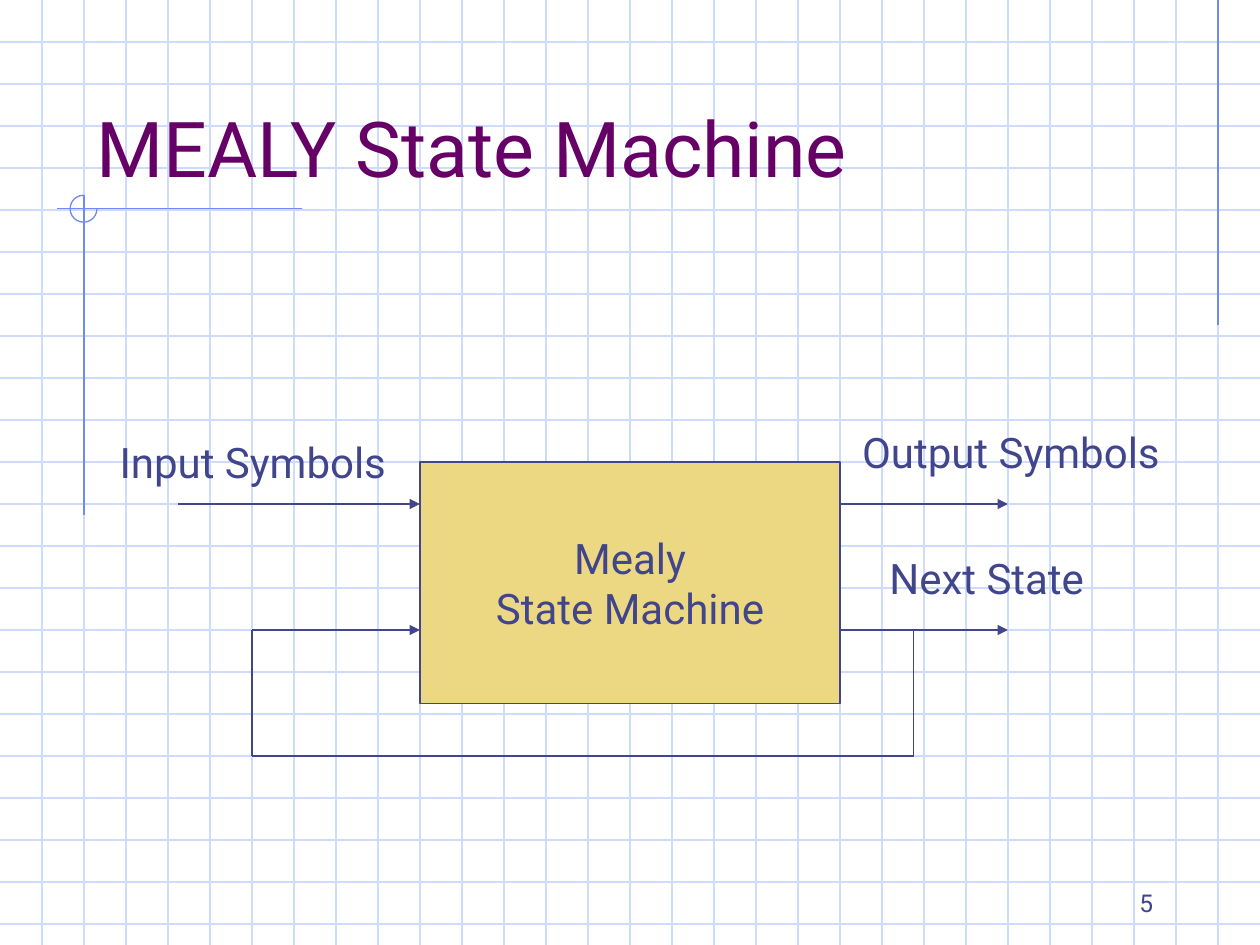
from dataclasses import dataclass

from lxml.etree import SubElement
from pptx import Presentation
from pptx.dml.color import RGBColor
from pptx.enum.shapes import MSO_CONNECTOR, MSO_SHAPE
from pptx.enum.text import MSO_ANCHOR, PP_ALIGN
from pptx.oxml.ns import qn
from pptx.util import Inches, Pt


@dataclass(frozen=True)
class Theme:
    font: str = "Roboto"
    grid: str = "CFDBFD"
    accent: str = "6F89F7"
    ink: str = "40458C"
    title: str = "660066"
    box: str = "ECD882"
    title_size: int = 44
    label_size: int = 24
    number_size: int = 14
    stroke: float = 0.75


THEME = Theme()

# All places are in cells of the squared-paper grid, three to the inch
COLUMNS, ROWS = 30, 22.5
CELL = Inches(1) / 3

TITLE = ("MEALY State Machine", (2, 1, 25.5, 3.75))
PAGE_NUMBER = ("5", (21.5, 20.5, 6.25, 1.5))
MACHINE = ("Mealy\nState Machine", (10, 11, 10, 5.75))
LABELS = [
    ("Input Symbols", (2.55, 10.25, 7.35, 1.5)),
    ("Output Symbols", (20.23, 10, 8.15, 1.5)),
    ("Next State", (20.88, 13, 5.46, 1.5)),
]
ARROWS = [
    (4.25, 12, 10, 12),   # input symbols
    (6, 15, 10, 15),      # state fed back
    (20, 12, 24, 12),     # output symbols
    (21.75, 15, 24, 15),  # next state
]
FEEDBACK = [(20, 15), (21.75, 15), (21.75, 18), (6, 18), (6, 15)]
MARGIN_LINES = [(29, 0, 29, 7.75), (7.2, 4.97, 1.35, 4.97), (2, 4.65, 2, 12.27)]
MARGIN_ARC = (1.67, 4.65, 0.64, 0.64)


def cells(*values):
    return [round(value * CELL) for value in values]


def rgb(name):
    return RGBColor.from_string(name)


def add_line(page, ends, color, arrow=False):
    line = page.shapes.add_connector(MSO_CONNECTOR.STRAIGHT, *cells(*ends))
    line.line.color.rgb = rgb(color)
    line.line.width = Pt(THEME.stroke)
    if arrow:
        SubElement(line.line._get_or_add_ln(), qn("a:tailEnd"), type="triangle")
    SubElement(line._element.spPr, qn("a:effectLst"))


def write(shape, text, size, color=THEME.ink, align=PP_ALIGN.LEFT,
          anchor=MSO_ANCHOR.TOP, wrap=False):
    frame = shape.text_frame
    frame.text = text
    frame.word_wrap = wrap
    frame.vertical_anchor = anchor
    for para in frame.paragraphs:
        para.alignment = align
        para.font.name = THEME.font
        para.font.size = Pt(size)
        para.font.color.rgb = rgb(color)


def add_text(page, content, size, **style):
    text, place = content
    write(page.shapes.add_textbox(*cells(*place)), text, size, **style)


def add_shape(page, kind, place, color):
    shape = page.shapes.add_shape(kind, *cells(*place))
    shape.shadow.inherit = False
    shape.line.color.rgb = rgb(color)
    shape.line.width = Pt(THEME.stroke)
    return shape


def draw_paper(page):
    for row in range(1, int(ROWS) + 1):
        add_line(page, (0, row, COLUMNS, row), THEME.grid)
    for column in range(1, COLUMNS):
        add_line(page, (column, 0, column, ROWS), THEME.grid)
    for ends in MARGIN_LINES:
        add_line(page, ends, THEME.accent)
    # Three-quarter turn, clockwise from the right to the top
    arc = add_shape(page, MSO_SHAPE.ARC, MARGIN_ARC, THEME.accent)
    arc.adjustments[0], arc.adjustments[1] = 0, 162
    arc.fill.background()


def draw_machine(page):
    text, place = MACHINE
    box = add_shape(page, MSO_SHAPE.RECTANGLE, place, THEME.ink)
    box.fill.solid()
    box.fill.fore_color.rgb = rgb(THEME.box)
    write(box, text, THEME.label_size, align=PP_ALIGN.CENTER,
          anchor=MSO_ANCHOR.MIDDLE)
    for ends in ARROWS:
        add_line(page, ends, THEME.ink, arrow=True)
    for start, end in zip(FEEDBACK, FEEDBACK[1:]):
        add_line(page, start + end, THEME.ink)
    for label in LABELS:
        add_text(page, label, THEME.label_size)


def main():
    deck = Presentation()
    deck.slide_width, deck.slide_height = cells(COLUMNS, ROWS)
    page = deck.slides.add_slide(deck.slide_layouts[6])
    draw_paper(page)
    add_text(page, TITLE, THEME.title_size, color=THEME.title,
             anchor=MSO_ANCHOR.BOTTOM, wrap=True)
    draw_machine(page)
    add_text(page, PAGE_NUMBER, THEME.number_size, align=PP_ALIGN.RIGHT,
             anchor=MSO_ANCHOR.BOTTOM, wrap=True)
    deck.save("out.pptx")


if __name__ == "__main__":
    main()
